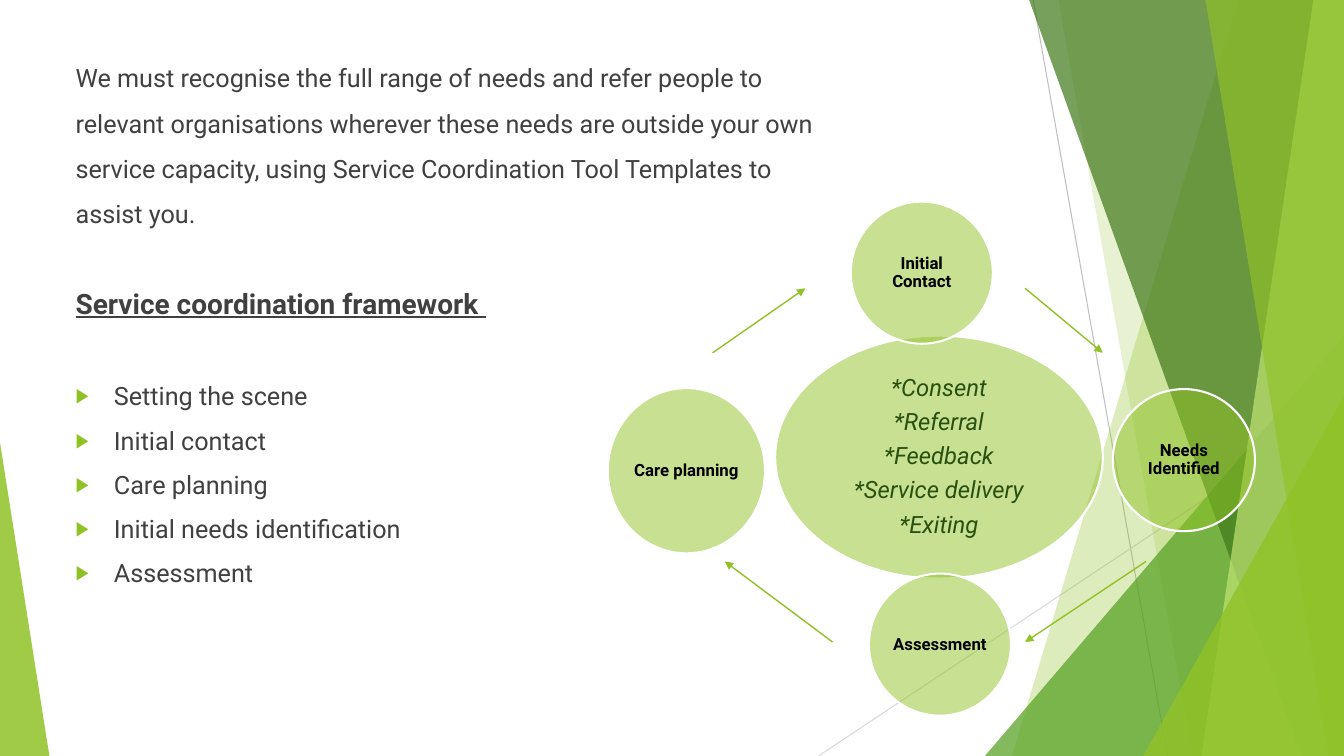
from lxml.etree import SubElement
from pptx import Presentation
from pptx.dml.color import RGBColor
from pptx.enum.shapes import MSO_CONNECTOR as Connector, MSO_SHAPE as Shape
from pptx.enum.text import MSO_ANCHOR as Anchor, MSO_AUTO_SIZE as AutoSize, PP_ALIGN as Align
from pptx.oxml.ns import qn
from pptx.util import Inches, Pt

COLUMNS, ROWS = 40, 22.5
CELL = Inches(1) // 3
FONT = "Roboto"
GREEN, WHITE = "90C226", "FFFFFF"


def paint(fill, color, opacity=100):
    fill.solid()
    fill.fore_color.rgb = RGBColor.from_string(color)
    if opacity < 100:
        color_element = fill._xPr.find(qn("a:solidFill"))[0]
        SubElement(color_element, qn("a:alpha"), val=str(opacity * 1000))


def draw_line(ends, color, width, arrow=False):
    line = slide.shapes.add_connector(
        Connector.STRAIGHT, *[round(CELL * value) for value in ends])
    paint(line.line.fill, color)
    line.line.width = Pt(width)
    if arrow:
        SubElement(line.line._get_or_add_ln(), qn("a:tailEnd"), type="triangle")
    SubElement(line._element.spPr, qn("a:effectLst"))


presentation = Presentation()
presentation.slide_width = CELL * COLUMNS
presentation.slide_height = round(CELL * ROWS)
slide = presentation.slides.add_slide(presentation.slide_layouts[1])
title = slide.shapes.title
title._element.getparent().remove(title._element)
body = slide.placeholders[1]

draw_line((30.75, 0, 34.75, ROWS), "BFBFBF", 0.75)
draw_line((COLUMNS, 12.1, 24.36, ROWS), "D9D9D9", 0.75)

facets = [
    ("band", (36.84, 30.12), GREEN, 30),
    ("band", (31.5, 35.49), GREEN, 20),
    ("triangle", (29.31, 10, COLUMNS, 1), "54A021", 72),
    ("band", (30.63, 38.73), "3F7819", 70),
    ("band", (39.09, 35.76), "C0E474", 70),
    ("band", (35.88, 39.54), GREEN, 65),
    ("triangle", (34.02, 11.8, COLUMNS, 1), GREEN, 80),
    ("triangle", (0, 13.17, 1.47, 0), GREEN, 85),
]
for kind, geometry, color, opacity in facets:
    if kind == "band":
        top_left, bottom_left = geometry
        outline = [(top_left, 0), (COLUMNS, 0), (COLUMNS, ROWS), (bottom_left, ROWS)]
        points = [(round(CELL * x), round(CELL * y)) for x, y in outline]
        builder = slide.shapes.build_freeform(*points[0])
        builder.add_line_segments(points[1:], close=True)
        facet = builder.convert_to_shape()
    else:
        left, top, right, apex = geometry
        facet = slide.shapes.add_shape(
            Shape.ISOSCELES_TRIANGLE,
            *[round(CELL * value) for value in (left, top, right - left, ROWS - top)])
        facet.adjustments[0] = apex
    paint(facet.fill, color, opacity)
    facet.line.fill.background()
    facet.shadow.inherit = False

body_box = dict(left=1.95, top=1.26, width=23.25, height=18.57)
for name, value in body_box.items():
    setattr(body, name, round(CELL * value))
frame = body.text_frame
frame.word_wrap = True
frame.auto_size = AutoSize.NONE

body_paragraphs = [
    ("We must recognise the full range of needs and refer people to relevant "
     "organisations wherever these needs are outside your own service capacity, "
     "using Service Coordination Tool Templates to assist you.",
     dict(line_spacing=1.5, space_before=Pt(10)), dict(size=Pt(18)), False),
    ("Service coordination framework ",
     dict(line_spacing=1.0, space_before=Pt(41)),
     dict(size=Pt(20), bold=True, underline=True), False),
]
framework = ["Setting the scene", "Initial contact", "Care planning",
             "Initial needs identification", "Assessment"]
for index, step in enumerate(framework):
    gap = 10 if index else 43.5
    body_paragraphs.append(
        (step, dict(line_spacing=1.0, space_before=Pt(gap)), dict(size=Pt(18)), True))

for index, (text, spacing, style, bulleted) in enumerate(body_paragraphs):
    paragraph = frame.add_paragraph() if index else frame.paragraphs[0]
    run = paragraph.add_run()
    run.text = text
    for name, value in dict(spacing, space_after=Pt(0), alignment=Align.LEFT).items():
        setattr(paragraph, name, value)
    for name, value in dict(style, name=FONT).items():
        setattr(run.font, name, value)
    paint(run.font.fill, "404040")
    properties = paragraph._p.get_or_add_pPr()
    indent = Inches(0.38) if bulleted else 0
    properties.set("marL", str(indent))
    properties.set("indent", str(-indent))
    if bulleted:
        bullet_color = SubElement(properties, qn("a:buClr"))
        SubElement(bullet_color, qn("a:srgbClr"), val=GREEN)
        SubElement(properties, qn("a:buSzPct"), val="80000")
        SubElement(properties, qn("a:buChar"), char="▶")
    else:
        SubElement(properties, qn("a:buNone"))

hub_style = dict(size=Pt(17), italic=True)
stage_style = dict(size=Pt(12), bold=True)
hub_topics = ["*Consent", "*Referral", "*Feedback", "*Service delivery", "*Exiting"]
circles = [
    (hub_topics, (23.07, 9.99, 9.75, 7.23), hub_style, "2A5010"),
    (["Initial Contact"], (25.32, 6, 4.23, 4.23), stage_style, "000000"),
    (["Needs Identified"], (33.12, 11.58, 4.23, 4.23), stage_style, "000000"),
    (["Assessment"], (25.86, 17.07, 4.23, 4.23), stage_style, "000000"),
    (["Care planning"], (18.09, 11.55, 4.68, 4.92), stage_style, "000000"),
]
margins = dict.fromkeys(
    ["margin_left", "margin_top", "margin_right", "margin_bottom"], Inches(0.02))
for texts, box, style, color in circles:
    circle = slide.shapes.add_shape(Shape.OVAL, *[round(CELL * value) for value in box])
    circle.shadow.inherit = False
    paint(circle.fill, GREEN, 50)
    paint(circle.line.fill, WHITE)
    circle.line.width = Pt(1.5)
    frame = circle.text_frame
    for name, value in dict(margins, word_wrap=True, vertical_anchor=Anchor.MIDDLE).items():
        setattr(frame, name, value)
    spacing = dict(alignment=Align.CENTER, line_spacing=0.9,
                   space_after=Pt(round(style["size"].pt * 0.35)))
    for index, text in enumerate(texts):
        paragraph = frame.add_paragraph() if index else frame.paragraphs[0]
        run = paragraph.add_run()
        run.text = text
        for name, value in spacing.items():
            setattr(paragraph, name, value)
        for name, value in dict(style, name=FONT).items():
            setattr(run.font, name, value)
        paint(run.font.fill, color)

cycle_arrows = [
    (30.51, 8.58, 32.82, 10.5),
    (34.11, 16.71, 30.51, 19.11),
    (24.78, 19.11, 21.57, 16.71),
    (21.21, 10.5, 23.97, 8.58),
]
for ends in cycle_arrows:
    draw_line(ends, GREEN, 1, arrow=True)

presentation.save("out.pptx")
